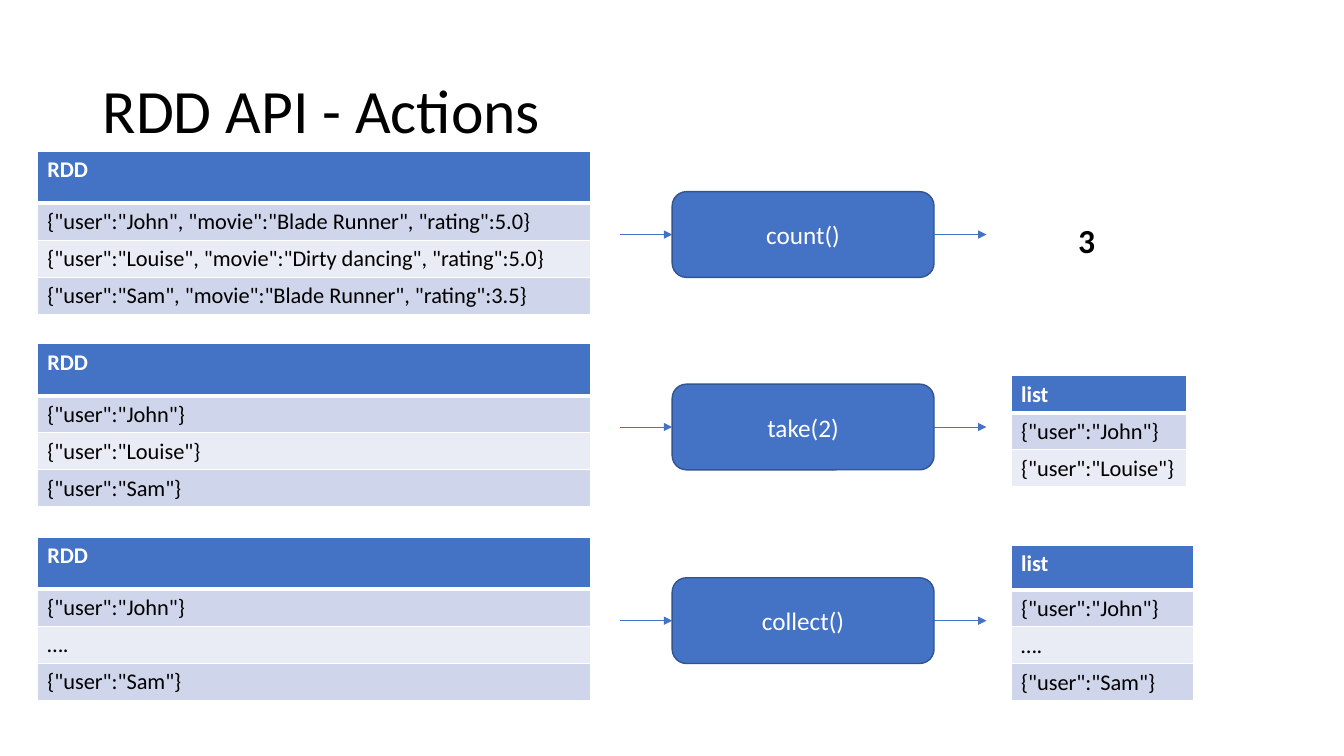
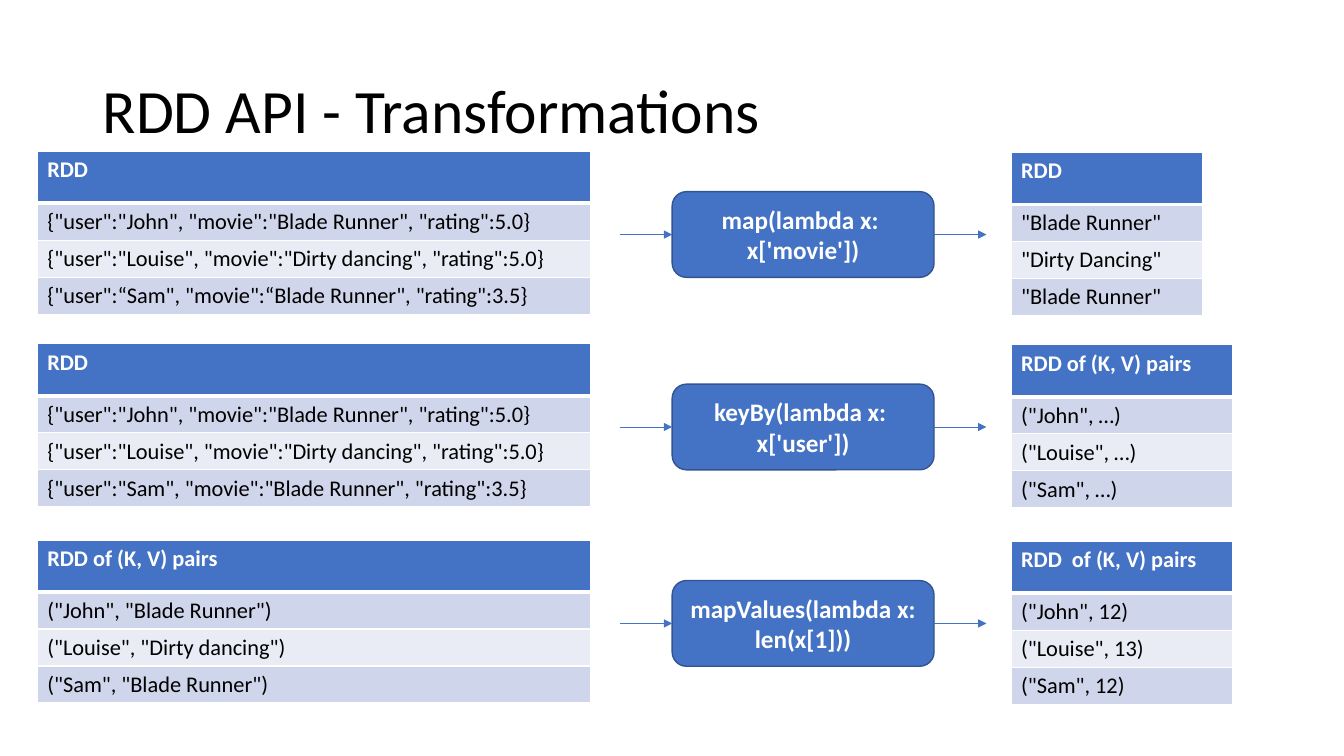
"""Build two slides on the RDD API: actions and transformations."""
from dataclasses import dataclass

from lxml.etree import SubElement
from pptx import Presentation
from pptx.dml.color import RGBColor
from pptx.enum.shapes import MSO_CONNECTOR, MSO_SHAPE
from pptx.enum.text import MSO_ANCHOR, PP_ALIGN
from pptx.oxml.ns import qn
from pptx.util import Cm, Pt


@dataclass(frozen=True)
class Theme:
    """Colours and type sizes of the deck."""
    blue: str = "4472C4"
    edge: str = "325491"
    dark: str = "CFD5EA"
    pale: str = "E9EBF5"
    white: str = "FFFFFF"
    black: str = "000000"
    font: str = "Calibri"
    title: int = 44
    value: int = 24
    call: int = 18
    cell: int = 16


def color(code):
    """Turn a hex code into a colour."""
    return RGBColor.from_string(code)


class Deck:
    """Hold the style and the current slide."""

    HEAD, ROW = 1.31, 0.93
    LEFT, WIDE = 0.94, 13.95
    BOX, BOX_WIDE, BOX_HIGH, BOX_DROP = 16.94, 6.6, 2.16, 1.02
    REACH = 1.32
    RIGHT = 25.48

    def __init__(self, theme):
        """Open an empty wide deck."""
        self.theme = theme
        self.show = Presentation()
        self.show.slide_width, self.show.slide_height = Cm(33.87), Cm(19.05)
        self.shapes = None

    def style(self, frame, size, ink, bold=False):
        """Format every run in a text frame."""
        for para in frame.paragraphs:
            for run in para.runs:
                run.font.name = self.theme.font
                run.font.size = Pt(size)
                run.font.bold = bold
                run.font.color.rgb = color(ink)

    def label(self, place, text, size, bold=False, wrap=True):
        """Add a plain text box."""
        frame = self.shapes.add_textbox(*map(Cm, place)).text_frame
        frame.word_wrap = wrap
        frame.text = text
        self.style(frame, size, self.theme.black, bold)
        return frame

    def slide(self, title):
        """Start a slide with its title."""
        self.shapes = self.show.slides.add_slide(self.show.slide_layouts[6]).shapes
        frame = self.label((2.34, 1.02, 29.21, 3.68), title, self.theme.title)
        frame.vertical_anchor = MSO_ANCHOR.MIDDLE
        frame.paragraphs[0].line_spacing = 0.9

    def border(self, cell, base):
        """Draw white borders around a cell."""
        props = cell._tc.get_or_add_tcPr()
        for side, width in (("L", 1), ("R", 1), ("T", 1), ("B", base)):
            line = SubElement(props, qn("a:ln" + side), w=str(Pt(width)))
            fill = SubElement(line, qn("a:solidFill"))
            SubElement(fill, qn("a:srgbClr"), val=self.theme.white)

    def table(self, left, top, width, rows, head=HEAD):
        """Add a one-column table with a header and banded rows."""
        theme = self.theme
        high = head + self.ROW * (len(rows) - 1)
        grid = self.shapes.add_table(
            len(rows), 1, Cm(left), Cm(top), Cm(width), Cm(high)).table
        for index, text in enumerate(rows):
            first = index == 0
            grid.rows[index].height = Cm(head if first else self.ROW)
            cell = grid.cell(index, 0)
            self.border(cell, 3 if first else 1)
            cell.fill.solid()
            band = theme.dark if index % 2 else theme.pale
            cell.fill.fore_color.rgb = color(theme.blue if first else band)
            cell.text_frame.text = text
            ink = theme.white if first else theme.black
            self.style(cell.text_frame, theme.cell, ink, first)

    def box(self, top, text, bold):
        """Add a rounded box that names a call."""
        place = (self.BOX, top, self.BOX_WIDE, self.BOX_HIGH)
        box = self.shapes.add_shape(MSO_SHAPE.ROUNDED_RECTANGLE, *map(Cm, place))
        box.shadow.inherit = False
        box.fill.solid()
        box.fill.fore_color.rgb = color(self.theme.blue)
        box.line.color.rgb = color(self.theme.edge)
        box.line.width = Pt(1)
        frame = box.text_frame
        frame.word_wrap = True
        frame.vertical_anchor = MSO_ANCHOR.MIDDLE
        frame.text = text
        for para in frame.paragraphs:
            para.alignment = PP_ALIGN.CENTER
        self.style(frame, self.theme.call, self.theme.white, bold)
        return box

    def arrow(self, start, end, mid):
        """Add a thin level arrow."""
        arrow = self.shapes.add_connector(
            MSO_CONNECTOR.STRAIGHT, Cm(start), mid, Cm(end), mid)
        arrow.line.color.rgb = color(self.theme.blue)
        arrow.line.width = Pt(0.5)
        props = arrow._element.spPr
        SubElement(props.find(qn("a:ln")), qn("a:tailEnd"), type="triangle")
        SubElement(props, qn("a:effectLst"))
        return arrow

    def lane(self, top, source, call, bold=False):
        """Add a source table, a call and the arrows in and out."""
        self.table(self.LEFT, top, self.WIDE, source)
        box = self.box(top + self.BOX_DROP, call, bold)
        mid = box.top + box.height // 2
        edge = self.BOX + self.BOX_WIDE
        self.arrow(self.BOX - self.REACH, self.BOX, mid).end_connect(box, 1)
        self.arrow(edge, edge + self.REACH, mid).begin_connect(box, 3)

    def result(self, top, width, rows, head=HEAD):
        """Add a table at the end of a lane."""
        self.table(self.RIGHT, top, width, rows, head)


RATED = [
    "RDD",
    '{"user":"John", "movie":"Blade Runner", "rating":5.0}',
    '{"user":"Louise", "movie":"Dirty dancing", "rating":5.0}',
    '{"user":"Sam", "movie":"Blade Runner", "rating":3.5}',
]
CURLED = RATED[:3] + ['{"user":“Sam", "movie":“Blade Runner", "rating":3.5}']
JOHN, LOUISE, SAM = '{"user":"John"}', '{"user":"Louise"}', '{"user":"Sam"}'
SHORT = [JOHN, "….", SAM]
PAIRS = "RDD of (K, V) pairs"
FILMS = [PAIRS, '("John", "Blade Runner")', '("Louise", "Dirty dancing")',
         '("Sam", "Blade Runner")']


def actions(deck):
    """Draw the slide on actions."""
    deck.slide("RDD API - Actions")
    deck.lane(3.81, RATED, "count()")
    deck.label((26.92, 5.41, 0.94, 1.27), "3", deck.theme.value, True, False)
    deck.lane(8.66, ["RDD", JOHN, LOUISE, SAM], "take(2)")
    deck.result(9.47, 4.42, ["list", JOHN, LOUISE], deck.ROW)
    deck.lane(13.54, ["RDD", *SHORT], "collect()")
    deck.result(13.74, 4.6, ["list", *SHORT], 1.12)


def transforms(deck):
    """Draw the slide on transformations."""
    deck.slide("RDD API - Transformations")
    lanes = [
        (3.81, RATED[:0] + CURLED, "map(lambda x: \nx['movie'])", 4.83,
         ["RDD", '"Blade Runner"', '"Dirty Dancing"', '"Blade Runner"']),
        (8.66, RATED, "keyBy(lambda x: \nx['user'])", 5.59,
         [PAIRS, '("John", …)', '("Louise", …)', '("Sam", …)']),
        (13.61, FILMS, "mapValues(lambda x:\nlen(x[1]))", 5.59,
         ["RDD  of (K, V) pairs", '("John", 12)', '("Louise", 13)', '("Sam", 12)']),
    ]
    for top, source, call, width, rows in lanes:
        deck.lane(top, source, call, True)
        deck.result(top + 0.03, width, rows)


def main():
    """Build and save the deck."""
    deck = Deck(Theme())
    actions(deck)
    transforms(deck)
    deck.show.save("out.pptx")


if __name__ == "__main__":
    main()
